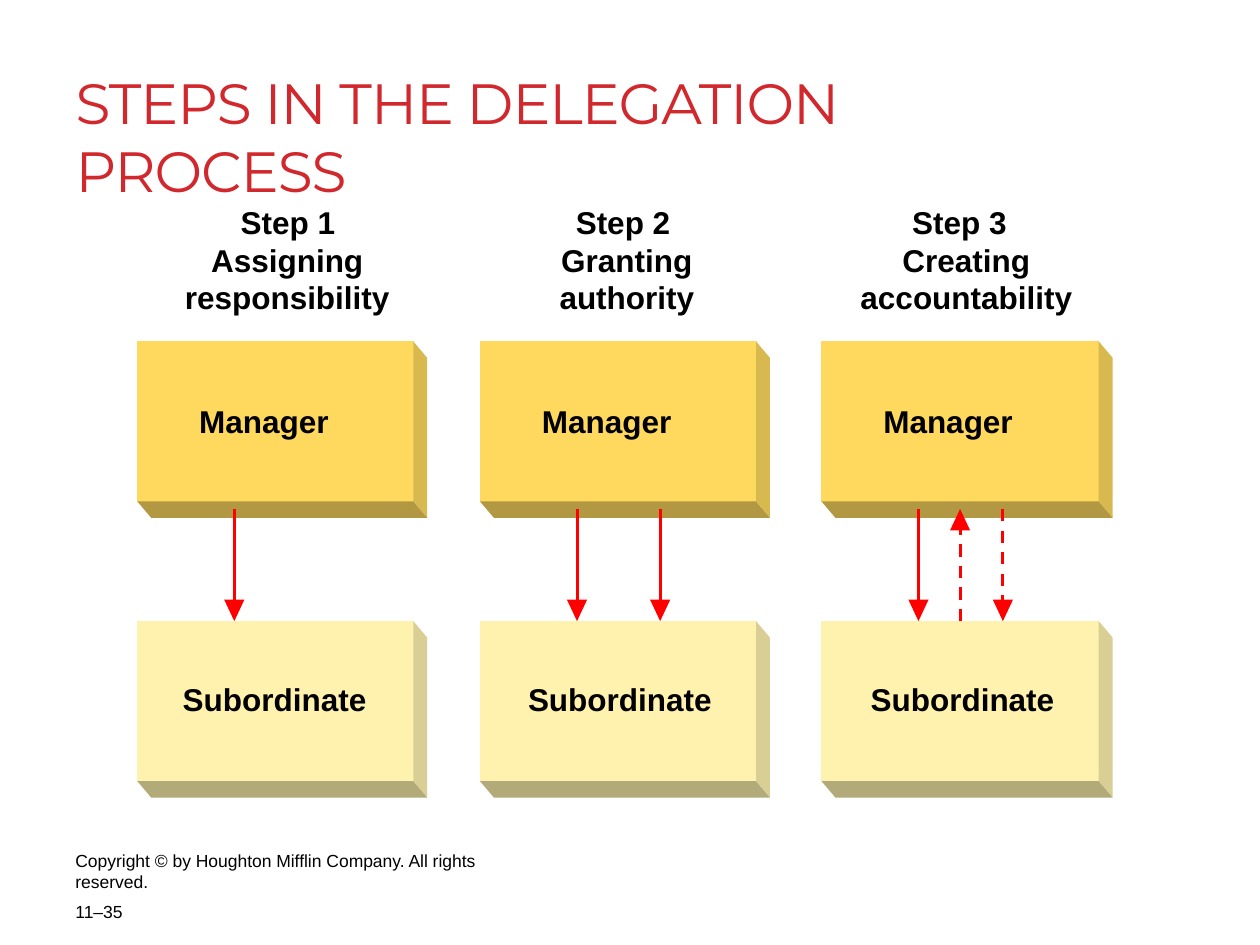
import pptx
import pptx.dml.color
import pptx.enum.dml
import pptx.enum.shapes
import pptx.enum.text
import pptx.oxml.ns
import pptx.util
from dataclasses import dataclass
from lxml import etree

SCALE = 9144  # EMU per px, 100 px to the inch
COLORS = {
    "title": "D1282E", "text": "000000", "arrow": "FF0000",
    "manager": "FED95E", "manager_side": "D8B950", "manager_base": "B29842",
    "subordinate": "FFF2AE", "subordinate_side": "D9CE94", "subordinate_base": "B3AA7A",
}
BOX_HEIGHT, BEVEL_X, BEVEL_Y = 127, 11, 13
MANAGER_TOP, SUBORDINATE_TOP = 271, 493
ARROW_TOP, HEAD_LENGTH, HEAD_HALF, HEAD_OVERLAP = 404, 17, 8, 3


@dataclass
class Arrow:
    offset: int  # from the left edge of the column
    dashed: bool = False
    upward: bool = False


@dataclass
class Step:
    left: int
    width: int
    heading: str
    heading_left: int
    action: str
    action_left: int
    action_width: int
    subordinate_left: int
    arrows: list[Arrow]


STEPS = [
    Step(109, 219, "Step 1", 191, "Assigning\nresponsibility", 146, 164, 145, [Arrow(77)]),
    Step(381, 219, "Step 2", 457, "Granting\nauthority", 443, 109, 419, [Arrow(77), Arrow(143)]),
    Step(652, 220, "Step 3", 724, "Creating\naccountability", 682, 170, 691,
         [Arrow(77), Arrow(144, dashed=True), Arrow(110, dashed=True, upward=True)]),
]


def px(value: int) -> pptx.util.Emu:
    return pptx.util.Emu(value * SCALE)


def rgb(name: str) -> pptx.dml.color.RGBColor:
    return pptx.dml.color.RGBColor.from_string(COLORS[name])


def style_font(paragraph, name: str, size: float, color: str, bold: bool = False) -> None:
    font = paragraph.font
    font.name, font.size, font.bold = name, pptx.util.Pt(size), bold
    font.color.rgb = rgb(color)


def add_label(shapes, text: str, left: int, top: int, width: int, height: int = 30) -> None:
    """Bold centred text without margins, in a box that grows with it."""
    shape = shapes.add_textbox(px(left), px(top), px(width), px(height))
    frame = shape.text_frame
    frame.word_wrap = False
    frame.auto_size = pptx.enum.text.MSO_AUTO_SIZE.SHAPE_TO_FIT_TEXT
    frame.margin_left = frame.margin_right = frame.margin_top = frame.margin_bottom = 0
    paragraph = frame.paragraphs[0]
    paragraph.text = text
    paragraph.alignment = pptx.enum.text.PP_ALIGN.CENTER
    style_font(paragraph, "Arial", 18, "text", bold=True)


def add_footer(shapes, text: str, top: int, height: int):
    shape = shapes.add_textbox(px(50), px(top), px(375), px(height))
    frame = shape.text_frame
    frame.word_wrap = True
    frame.paragraphs[0].text = text
    style_font(frame.paragraphs[0], "Arial", 10, "text")
    return frame


def add_polygon(shapes, points: list[tuple[int, int]], color: str) -> None:
    builder = shapes.build_freeform(*points[0], scale=SCALE)
    builder.add_line_segments(points[1:], close=True)
    shape = builder.convert_to_shape()
    shape.shadow.inherit = False
    shape.fill.solid()
    shape.fill.fore_color.rgb = rgb(color)
    shape.line.fill.background()


def add_block(shapes, left: int, top: int, width: int, color: str):
    """Rectangle with a bevelled right side and base."""
    right, bottom = left + width, top + BOX_HEIGHT
    box = shapes.add_shape(pptx.enum.shapes.MSO_SHAPE.RECTANGLE,
                           px(left), px(top), px(width), px(BOX_HEIGHT))
    box.shadow.inherit = False
    box.fill.solid()
    box.fill.fore_color.rgb = box.line.color.rgb = rgb(color)
    box.line.width = pptx.util.Pt(0.25)
    corner = (right + BEVEL_X, bottom + BEVEL_Y)
    add_polygon(shapes, [corner, (right + BEVEL_X, top + BEVEL_Y), (right, top),
                         (right, bottom)], color + "_side")
    add_polygon(shapes, [(right, bottom), (left, bottom),
                         (left + BEVEL_X, bottom + BEVEL_Y), corner], color + "_base")
    return box


def add_arrow(shapes, arrow: Arrow, column_left: int, subordinate) -> None:
    x = column_left + arrow.offset
    start, tip, direction = ARROW_TOP, SUBORDINATE_TOP, 1
    if arrow.upward:
        start, tip, direction = tip, start, -1
    head_base = tip - direction * HEAD_LENGTH
    line_end = head_base + direction * HEAD_OVERLAP
    connector = shapes.add_connector(pptx.enum.shapes.MSO_CONNECTOR.STRAIGHT,
                                     px(x), px(start), px(x), px(line_end))
    if arrow.upward:
        connector.begin_connect(subordinate, 0)
    connector.line.color.rgb = rgb("arrow")
    connector.line.width = pptx.util.Pt(1.75)
    if arrow.dashed:
        connector.line.dash_style = pptx.enum.dml.MSO_LINE.DASH
    etree.SubElement(connector._element.spPr, pptx.oxml.ns.qn("a:effectLst"))
    add_polygon(shapes, [(x + HEAD_HALF, head_base), (x, tip), (x - HEAD_HALF, head_base)], "arrow")


def add_title(slide) -> None:
    title = slide.shapes.title
    title.left, title.top, title.width, title.height = px(50), px(17), px(633), px(150)
    frame = title.text_frame
    frame.auto_size = pptx.enum.text.MSO_AUTO_SIZE.NONE
    frame.vertical_anchor = pptx.enum.text.MSO_ANCHOR.BOTTOM
    paragraph = frame.paragraphs[0]
    paragraph.text = "STEPS IN THE DELEGATION PROCESS"
    paragraph.alignment = pptx.enum.text.PP_ALIGN.LEFT
    style_font(paragraph, "Montserrat", 32.4, "title")
    paragraph.runs[0].font._element.set("spc", "-60")


def main() -> None:
    presentation = pptx.Presentation()
    presentation.slide_width, presentation.slide_height = px(1000), px(750)
    slide = presentation.slides.add_slide(presentation.slide_layouts[5])
    shapes = slide.shapes

    # Title and footer
    add_title(slide)
    copyright_frame = add_footer(
        shapes, "Copyright © by Houghton Mifflin Company. All rights reserved.", 675, 33)
    copyright_frame.vertical_anchor = pptx.enum.text.MSO_ANCHOR.BOTTOM
    copyright_frame.margin_bottom = 0
    add_footer(shapes, "11–35", 710, 31)

    # One column for each step
    for step in STEPS:
        add_block(shapes, step.left, MANAGER_TOP, step.width, "manager")
        subordinate = add_block(shapes, step.left, SUBORDINATE_TOP, step.width, "subordinate")
        for arrow in step.arrows:
            add_arrow(shapes, arrow, step.left, subordinate)
        add_label(shapes, step.heading, step.heading_left, 161, 75)
        add_label(shapes, step.action, step.action_left, 191, step.action_width, 60)
        add_label(shapes, "Manager", step.left + 49, 319, 103)
        add_label(shapes, "Subordinate", step.subordinate_left, 540, 146)

    presentation.save("out.pptx")


if __name__ == "__main__":
    main()
